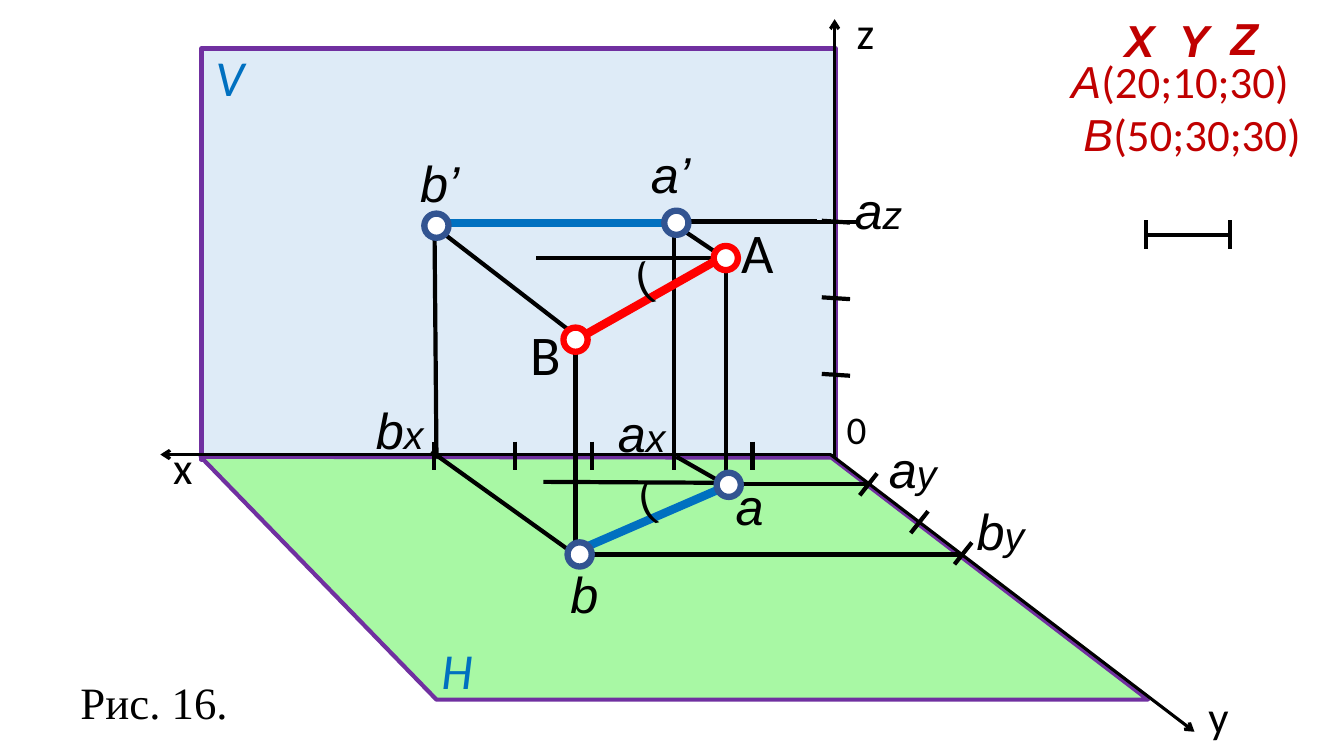
"""Draws the slide showing segment AB projected onto the planes V and H."""
from dataclasses import dataclass
from typing import NamedTuple

from lxml import etree
from pptx import Presentation
from pptx import util as u
from pptx.dml import color
from pptx.enum import shapes, text
from pptx.oxml import ns


@dataclass(frozen=True)
class Theme:
    black: str = "000000"
    white: str = "FFFFFF"
    wall: str = "DEEBF7"
    floor: str = "A8F8A4"
    border: str = "7030A0"
    blue: str = "0070C0"
    ring: str = "325491"
    red: str = "FF0000"
    crimson: str = "C00000"
    sans: str = "Arial"
    plain: str = "Calibri"
    serif: str = "Times New Roman"
    point_size: float = 40
    letter_size: float = 36
    axis_size: float = 32
    index_size: float = 28
    thin: float = 2.25
    normal: float = 3
    ring_width: float = 4.5
    thick: float = 6


THEME = Theme()


class Line(NamedTuple):
    x1: float
    y1: float
    x2: float
    y2: float
    color: str = THEME.black
    width: float = THEME.normal
    arrow: bool = False


class Dot(NamedTuple):
    left: float
    top: float
    color: str


class Span(NamedTuple):
    text: str
    font: str = THEME.sans
    size: float = THEME.letter_size
    color: str = THEME.black
    italic: bool = False
    bold: bool = False


class Label(NamedTuple):
    left: float
    top: float
    width: float
    height: float
    lines: tuple[tuple[Span, ...], ...]
    wrap: bool = True
    rotation: float = 0
    second_indent: float = 0


def letter(name: str, left: float, top: float, width: float, index: str = "") -> Label:
    """Return an italic label with an optional smaller index."""
    spans = [Span(name, italic=True)]
    if index:
        spans.append(Span(index, size=THEME.index_size, italic=True))
    return Label(left, top, width, 51.1, (tuple(spans),))


def single(span: Span, left: float, top: float, width: float, height: float,
           wrap: bool = True, rotation: float = 0) -> Label:
    """Return a label made of one span."""
    return Label(left, top, width, height, ((span,),), wrap, rotation)


def coordinates(name: str, values: str) -> tuple[Span, Span]:
    """Return the spans that give the coordinates of a point."""
    return (Span(name, THEME.sans, THEME.axis_size, THEME.crimson, italic=True),
            Span(values, THEME.plain, THEME.axis_size, THEME.crimson))


H_OUTLINE = [(143.3, 326.2), (594, 326.9), (820, 499.7), (311.8, 499.7)]
PROJECTIONS = [
    Line(311.8, 327.6, 310.3, 154.1),
    Line(412.6, 397.4, 308.2, 322.6),
    Line(481.7, 158.4, 612.7, 158.4),
    Line(518.4, 347, 518.4, 181.4),
    Line(518.4, 185, 481, 159.8),
    Line(411.1, 398.2, 411.1, 238.3),
    Line(481.7, 322.6, 481.7, 153.4),
    Line(416.2, 243.4, 303.1, 156.2),
    Line(411.1, 396, 686.2, 396),
    Line(518.4, 346.3, 483.1, 326.2),
    Line(519.1, 345.6, 622.8, 345.6),
    Line(308.9, 157.7, 583.9, 157.7),
    Line(388.1, 344.2, 522.7, 344.9),
    Line(383, 184.3, 518.4, 184.3),
]
AXES = [Line(*ends, width=THEME.thin, arrow=True) for ends in (
    (593.3, 324.7, 114.5, 324.7),
    (596.2, 326.2, 596.2, 13.7),
    (593.3, 324.7, 853.2, 522.7),
)]
X_TICKS = [Line(x, 315.4, x, 335.5) for x in (310.3, 367.9, 422.6, 481.7, 537.5)]
Y_TICKS = [Line(x - 6.2, y + 7.8, x + 6.2, y - 7.8)
           for x, y in ((620.3, 346), (656.7, 373), (688, 395.3))]
Z_TICKS = [Line(587, 157.7 + 54.7 * step, 607.2, 159 + 54.7 * step) for step in range(3)]
SCALE = [Line(820, 167.8, 878.4, 167.8)] + [
    Line(x, 157.3, x, 177.8) for x in (818.6, 878.4)]
SEGMENTS = [
    Line(517.7, 347.8, 419.8, 390.2, THEME.blue, THEME.thick),
    Line(524.9, 178.6, 410.4, 243.4, THEME.red, THEME.thick),
    Line(474.5, 159.1, 321.1, 159.1, THEME.blue, THEME.thick),
]
DOT_SIZE = 17.3
DOTS = [
    Dot(405.4, 387.4, THEME.ring), Dot(303.1, 152.6, THEME.ring),
    Dot(402.5, 234, THEME.red), Dot(474.5, 150.5, THEME.ring),
    Dot(509.8, 175.7, THEME.red), Dot(511.9, 337.7, THEME.ring),
]
LABELS = [
    letter("a", 434.2, 283.7, 57.6, "x"), letter("b", 261.4, 281.5, 57.6, "x"),
    letter("a", 627.8, 309.6, 57.6, "y"), letter("b", 690.5, 353.5, 57.6, "y"),
    letter("a", 603.4, 124.6, 57.6, "z"), letter("a", 518.4, 335.5, 36),
    letter("a’", 457.9, 98.6, 51.1), letter("b", 400.3, 398.9, 57.6),
    letter("b’", 293, 105.1, 57.6),
    single(Span("B", THEME.plain, THEME.point_size), 371.5, 224.6, 34.6, 55.4),
    single(Span("A", THEME.plain, THEME.point_size), 522.7, 151.9, 40.3, 55.4),
    single(Span("0", THEME.plain, THEME.index_size), 597.6, 285.8, 64.1, 41),
    *(single(Span(name, THEME.plain, THEME.axis_size), left, top, width, 46.1, False)
      for name, left, top, width in (
          ("x", 116.6, 310.3, 28.8), ("y", 856.1, 488.2, 29.5), ("z", 604.8, 0, 27.4))),
    *(single(Span(name, THEME.plain, color=THEME.blue, italic=True), left, top, 64.1, 51.1)
      for name, left, top in (("H", 308.2, 452.9), ("V", 146.9, 29.5))),
    *(single(Span(name, THEME.sans, THEME.axis_size, THEME.crimson, True, True),
             left, top, width, 46.1, False)
      for name, left, top, width in (
          ("X", 796.3, 5.8, 33.8), ("Y", 835.2, 5.8, 33.8), ("Z", 871.9, 4.3, 31.7))),
    *(single(Span("(", size=THEME.axis_size), left, top, 33.1, 46.1, rotation=345)
      for left, top in ((448.6, 331.9), (446.4, 174.2))),
    single(Span("Рис. 16.", THEME.serif, THEME.axis_size), 50.4, 478.1, 121, 46.1, False),
    Label(758.2, 34.6, 215.3, 85, (coordinates("А", "(20;10;30)"),
                                   coordinates("В", "(50;30;30)")), second_indent=8.6),
]


def style(shape, fill: str, line: str, width: float) -> None:
    """Give a shape its fill and line without a shadow."""
    shape.shadow.inherit = False
    shape.fill.solid()
    shape.fill.fore_color.rgb = color.RGBColor.from_string(fill)
    shape.line.color.rgb = color.RGBColor.from_string(line)
    shape.line.width = u.Pt(width)


def draw_planes(page) -> None:
    """Draw the vertical plane V and the horizontal plane H."""
    wall = page.shapes.add_shape(shapes.MSO_SHAPE.RECTANGLE, u.Pt(144), u.Pt(34.6),
                                 u.Pt(452.9), u.Pt(293.8))
    style(wall, THEME.wall, THEME.border, THEME.normal)
    start, *rest = [(u.Pt(x), u.Pt(y)) for x, y in H_OUTLINE]
    builder = page.shapes.build_freeform(*start)
    builder.add_line_segments(rest, close=True)
    style(builder.convert_to_shape(), THEME.floor, THEME.border, THEME.normal)


def draw_line(page, line: Line) -> None:
    """Draw a straight line, with an arrowhead at its end if asked for."""
    connector = page.shapes.add_connector(
        shapes.MSO_CONNECTOR.STRAIGHT, u.Pt(line.x1), u.Pt(line.y1), u.Pt(line.x2), u.Pt(line.y2))
    connector.line.color.rgb = color.RGBColor.from_string(line.color)
    connector.line.width = u.Pt(line.width)
    if line.arrow:
        etree.SubElement(connector.line._get_or_add_ln(), ns.qn("a:tailEnd"), type="arrow")
    etree.SubElement(connector._element.spPr, ns.qn("a:effectLst"))


def draw_dot(page, dot: Dot) -> None:
    """Draw a ring that marks a point."""
    ring = page.shapes.add_shape(shapes.MSO_SHAPE.OVAL, u.Pt(dot.left), u.Pt(dot.top),
                                 u.Pt(DOT_SIZE), u.Pt(DOT_SIZE))
    style(ring, THEME.white, dot.color, THEME.ring_width)


def draw_label(page, label: Label) -> None:
    """Draw a text box with its formatted spans."""
    box = page.shapes.add_textbox(u.Pt(label.left), u.Pt(label.top),
                                  u.Pt(label.width), u.Pt(label.height))
    box.rotation = label.rotation
    frame = box.text_frame
    frame.word_wrap = label.wrap
    frame.auto_size = text.MSO_AUTO_SIZE.SHAPE_TO_FIT_TEXT
    for number, spans in enumerate(label.lines):
        para = frame.add_paragraph() if number else frame.paragraphs[0]
        if number:
            para._p.get_or_add_pPr().set("marL", str(u.Pt(label.second_indent)))
        for span in spans:
            run = para.add_run()
            run.text = span.text
            run.font.name = span.font
            run.font.size = u.Pt(span.size)
            run.font.italic = span.italic
            run.font.bold = span.bold
            run.font.color.rgb = color.RGBColor.from_string(span.color)


def main() -> None:
    """Build the deck and save it."""
    deck = Presentation()
    deck.slide_width, deck.slide_height = u.Pt(960), u.Pt(540)
    page = deck.slides.add_slide(deck.slide_layouts[6])
    draw_planes(page)
    for line in PROJECTIONS + AXES + X_TICKS + Y_TICKS + Z_TICKS + SCALE + SEGMENTS:
        draw_line(page, line)
    for label in LABELS:
        draw_label(page, label)
    for dot in DOTS:
        draw_dot(page, dot)
    deck.save("out.pptx")


if __name__ == "__main__":
    main()
